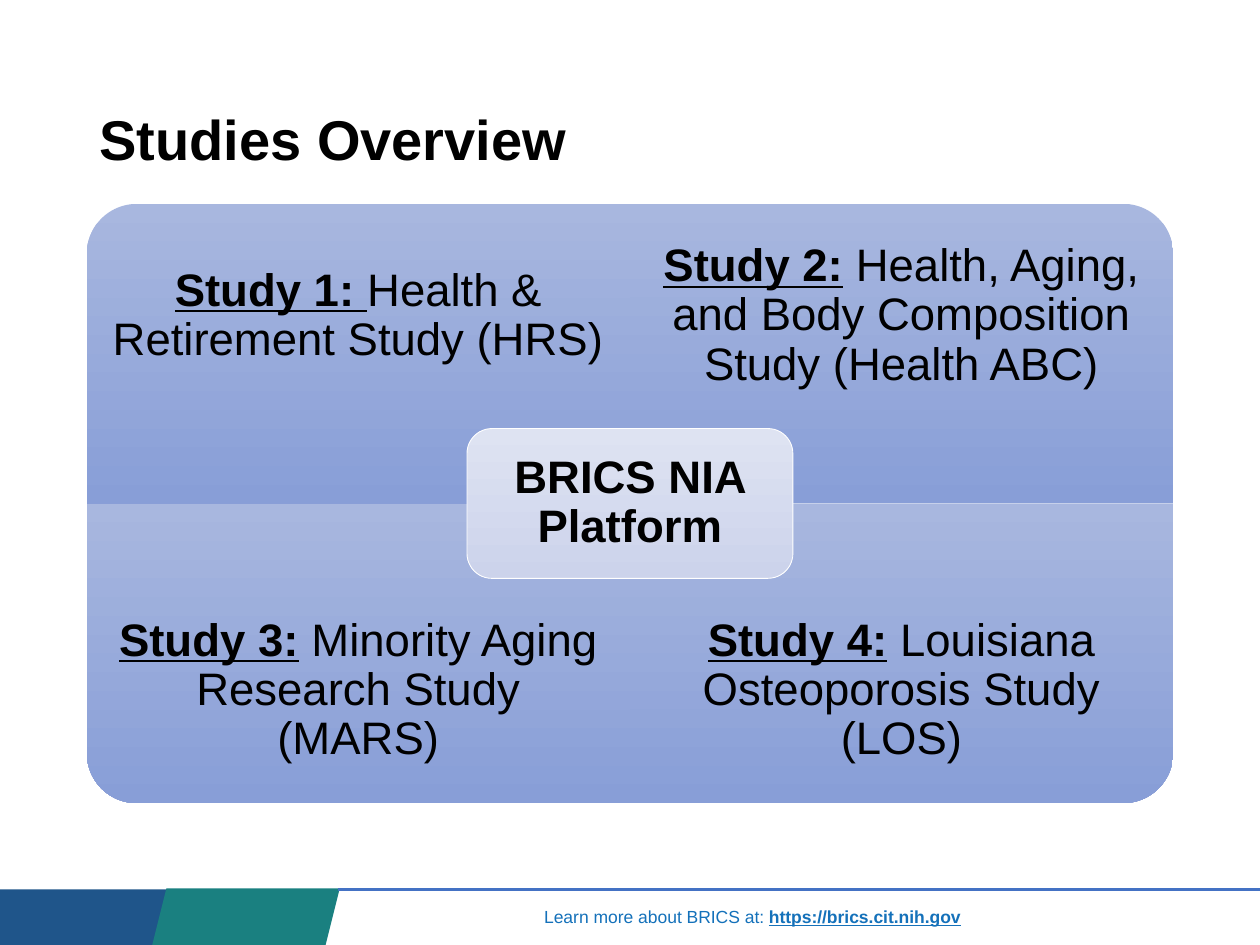
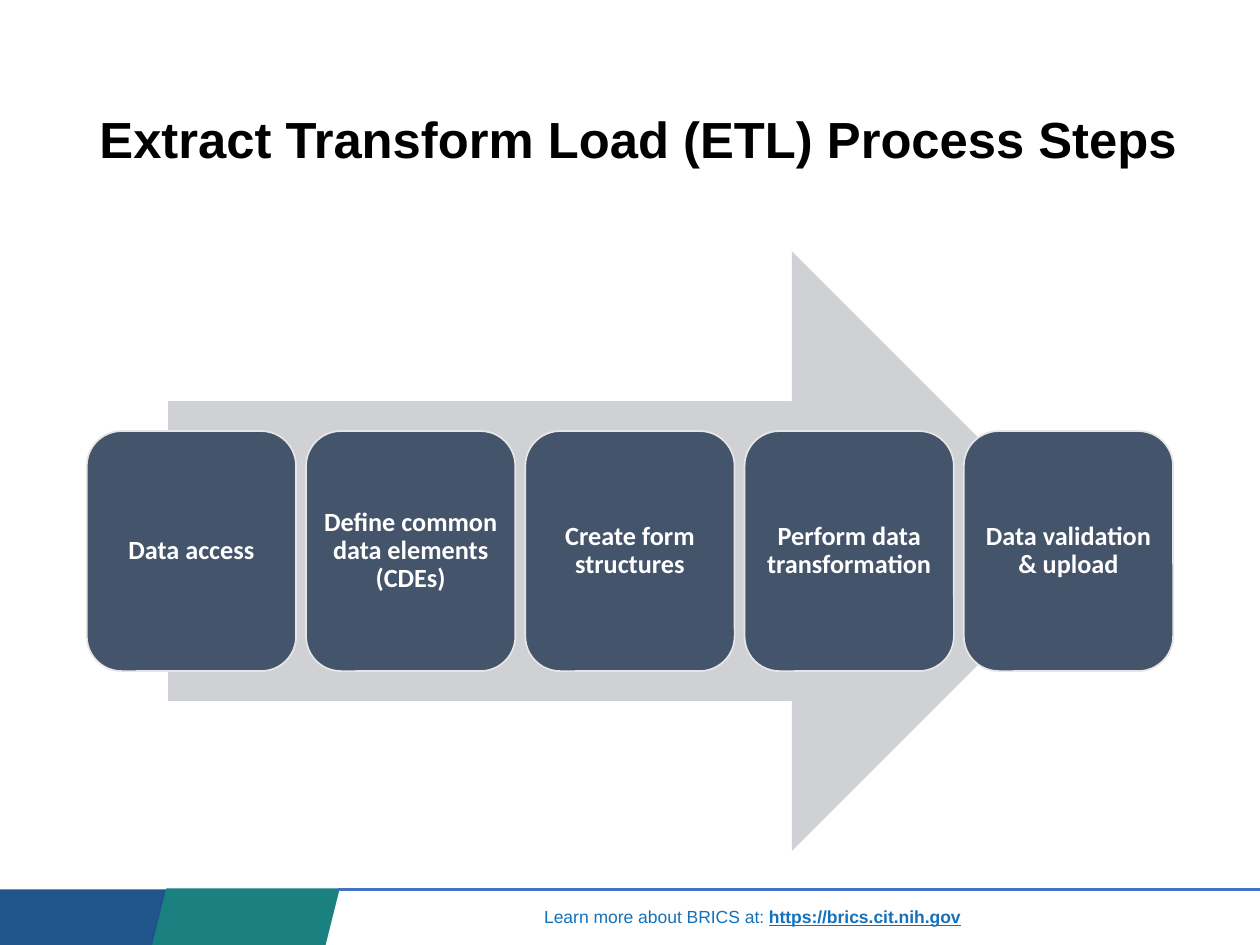
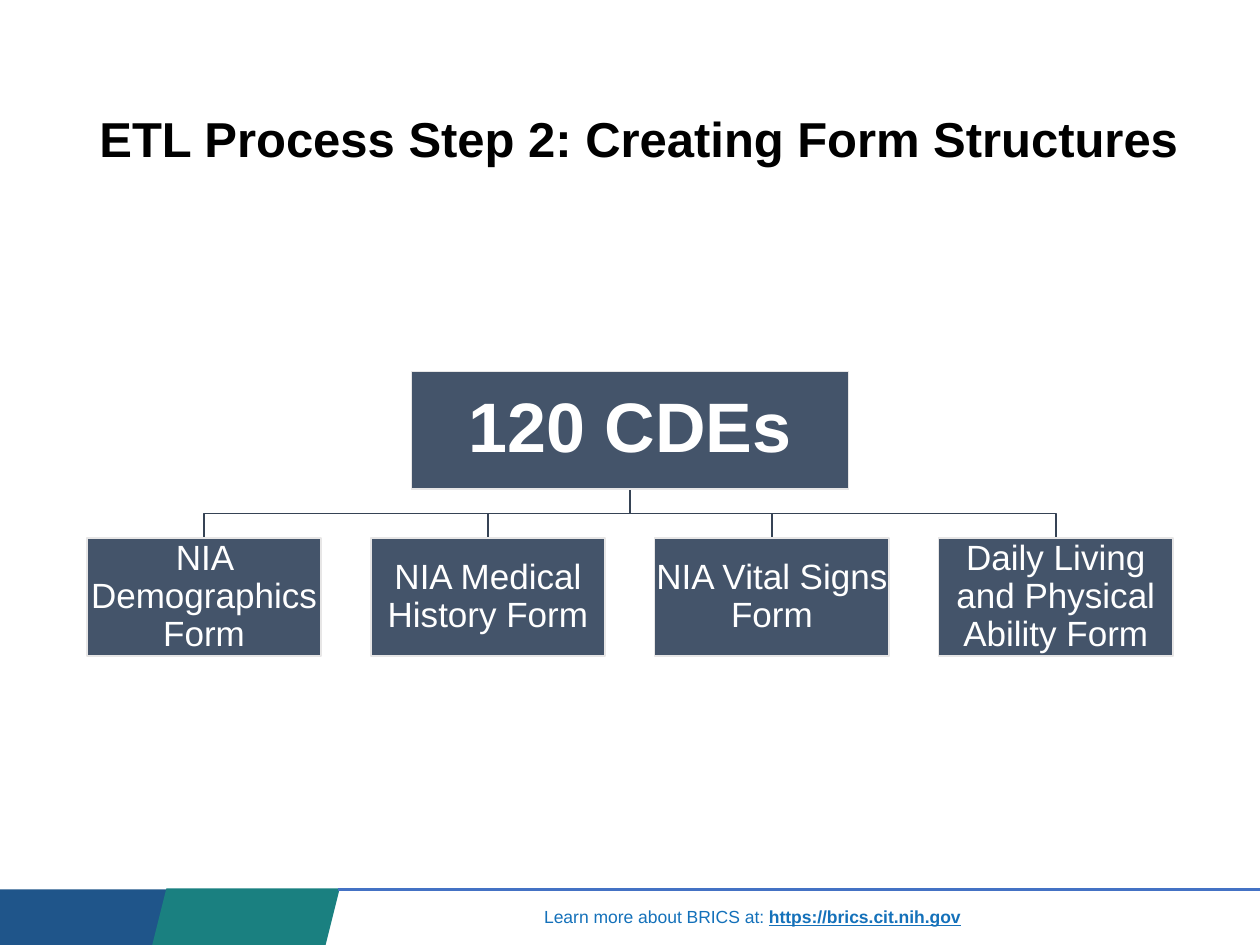
from dataclasses import dataclass
from lxml import etree
from pptx import Presentation
from pptx.dml.color import RGBColor
from pptx.enum.shapes import MSO_CONNECTOR, MSO_SHAPE
from pptx.enum.text import MSO_ANCHOR, MSO_AUTO_SIZE, PP_ALIGN
from pptx.oxml.ns import qn
from pptx.util import Cm, Pt

RECT, ROUND = MSO_SHAPE.RECTANGLE, MSO_SHAPE.ROUNDED_RECTANGLE
ROUND_ONE = MSO_SHAPE.ROUND_1_RECTANGLE
ARROW, SLANT = MSO_SHAPE.RIGHT_ARROW, MSO_SHAPE.PARALLELOGRAM
STRAIGHT = MSO_CONNECTOR.STRAIGHT
LEFT, CENTER = PP_ALIGN.LEFT, PP_ALIGN.CENTER
TOP, MIDDLE = MSO_ANCHOR.TOP, MSO_ANCHOR.MIDDLE
NO_FIT = MSO_AUTO_SIZE.NONE


@dataclass(frozen=True)
class Theme:
    navy: str = "1F558A"
    teal: str = "1A8080"
    rule: str = "4472C4"
    link: str = "1471BA"
    slate: str = "44546A"
    branch: str = "364355"
    edge: str = "E7E6E6"
    arrow: str = "CFD1D4"
    black: str = "000000"
    white: str = "FFFFFF"
    quadrant: tuple = ("A8B7DF", "889ED7")
    hub: tuple = ("DEE3F2", "CCD3EB")
    font: str = "Arial"
    step_font: str = "Calibri"
    footer_size: int = 10
    step_size: int = 15
    form_size: int = 20
    study_size: int = 26
    root_size: int = 40


T = Theme()

# Content
FOOTER = ("Learn more about BRICS at: ", "https://brics.cit.nih.gov")
STUDIES_TITLE = ("Studies Overview", 32, 21.9)
STEPS_TITLE = ("Extract Transform Load (ETL) Process Steps", 29, 22.99)
FORMS_TITLE = ("ETL Process Step 2: Creating Form Structures", 28, 22.56)

# Label, description, rotation that turns the round corner outwards
STUDIES = [
    ("Study 1: ", "Health & Retirement Study (HRS)", 270),
    ("Study 2:", " Health, Aging, and Body Composition Study (Health ABC)", 0),
    ("Study 3:", " Minority Aging Research Study (MARS)", 180),
    ("Study 4:", " Louisiana Osteoporosis Study (LOS)", 90),
]
HUB = "BRICS NIA Platform"
STEPS = ["Data access", "Define common data elements (CDEs)", "Create form structures",
         "Perform data transformation", "Data validation & upload"]
ROOT = "120 CDEs"
FORMS = ["NIA Demographics Form", "NIA Medical History Form",
         "NIA Vital Signs Form", "Daily Living and Physical Ability Form"]

# Shared frame, in centimetres
WIDTH, HEIGHT = 25.4, 19.05
MARGIN = 1.75
SPAN = WIDTH - 2 * MARGIN
MID_X = WIDTH / 2


# Helpers
def rgb(value):
    return RGBColor.from_string(value)


def box(*lengths):
    return [Cm(n) for n in lengths]


def write(sp, runs, align=CENTER, anchor=MIDDLE, inset=None, wrap=True, spacing=0.9):
    """Fill a shape with one paragraph of (text, font values) runs."""
    tf = sp.text_frame
    tf.auto_size, tf.word_wrap, tf.vertical_anchor = NO_FIT, wrap, anchor
    if inset is not None:
        for side in ("left", "top", "right", "bottom"):
            setattr(tf, f"margin_{side}", Cm(inset))
    p = tf.paragraphs[0]
    p.alignment, p.line_spacing = align, spacing
    for text, values in runs:
        r = p.add_run()
        r.text = text
        for name, value in values.items():
            if name == "color":
                r.font.color.rgb = rgb(value)
            else:
                setattr(r.font, name, value)


def style(size, color, font=T.font, **extra):
    return dict(size=Pt(size), color=color, name=font, **extra)


def add_box(slide, kind, place, fill, line=None, weight=1):
    """Add a preset shape; a pair of colours gives a top-down gradient."""
    sp = slide.shapes.add_shape(kind, *box(*place))
    sp.shadow.inherit = False
    if isinstance(fill, tuple):
        sp.fill.gradient()
        sp.fill.gradient_angle = 270
        for stop, color in zip(sp.fill.gradient_stops, fill):
            stop.color.rgb = rgb(color)
        sp.element.spPr.find(qn("a:gradFill")).set("rotWithShape", "0")
    else:
        sp.fill.solid()
        sp.fill.fore_color.rgb = rgb(fill)
    if line:
        sp.line.color.rgb = rgb(line)
        sp.line.width = Pt(weight)
    else:
        sp.line.fill.background()
    return sp


def spread(count, width):
    """Left edges of equal boxes that fill the span between the margins."""
    pitch = (SPAN - width) / (count - 1)
    return [MARGIN + i * pitch for i in range(count)]


def add_slide(prs, layout, title):
    text, size, width = title
    slide = prs.slides.add_slide(layout)
    sp = slide.shapes.title
    sp.left, sp.top, sp.width, sp.height = box(MARGIN, 1.02, width, 3.68)
    write(sp, [(text, style(size, T.black, bold=True))], align=LEFT)
    return slide


def add_footer(slide, layout):
    """Draw the footer band and move it to the layout that all slides use."""
    band = add_box(slide, RECT, (0, 17.93, 3.48, 1.12), T.navy)
    note = slide.shapes.add_textbox(*box(10.72, 18.14, 8.99, 0.69))
    plain = style(T.footer_size, T.link)
    write(note, [(FOOTER[0], plain), (FOOTER[1], dict(plain, bold=True, underline=True))],
          align=LEFT, anchor=TOP, wrap=False, spacing=1.0)
    slant = add_box(slide, SLANT, (3.07, 17.91, 3.78, 1.14), T.teal)
    rule = slide.shapes.add_connector(STRAIGHT, *box(6.81, 17.93, WIDTH, 17.93))
    rule.line.color.rgb = rgb(T.rule)
    rule.line.width = Pt(2)
    etree.SubElement(rule.element.spPr, qn("a:effectLst"))
    for sp in (band, note, slant, rule):
        layout.shapes.element.append(sp.element)


# Slide 1: four quadrants around a hub
def draw_studies(slide):
    top, w, h = 4.11, SPAN / 2, 6.04
    text_h = 0.75 * h
    mid_y = top + h
    plain = style(T.study_size, T.black)
    for i, (label, name, turn) in enumerate(STUDIES):
        row, col = divmod(i, 2)
        x, y = MARGIN + col * w, top + row * h
        sw, sh = (h, w) if turn in (90, 270) else (w, h)
        sp = add_box(slide, ROUND_ONE, (x + (w - sw) / 2, y + (h - sh) / 2, sw, sh), T.quadrant)
        sp.rotation = turn
        tb = slide.shapes.add_textbox(*box(x, y + row * (h - text_h), w, text_h))
        write(tb, [(label, dict(plain, bold=True, underline=True)), (name, plain)], inset=0.51)
    hub_w, hub_h = 0.6 * w, h / 2
    hub = add_box(slide, ROUND, (MID_X - hub_w / 2, mid_y - hub_h / 2, hub_w, hub_h),
                  T.hub, T.white, 0.5)
    write(hub, [(HUB, dict(plain, bold=True))], inset=0.28)


# Slide 2: steps along an arrow
def draw_steps(slide):
    top, w, h = 8.69, 4.22, 4.84
    arrow_w, arrow_h = 18.62, 12.09
    add_box(slide, ARROW, (MID_X - arrow_w / 2, top + (h - arrow_h) / 2, arrow_w, arrow_h), T.arrow)
    for x, step in zip(spread(len(STEPS), w), STEPS):
        sp = add_box(slide, ROUND, (x, top, w, h), T.slate, T.edge)
        write(sp, [(step, style(T.step_size, T.white, T.step_font, bold=True))], inset=0.15)


# Slide 3: one root and its forms
def draw_forms(slide):
    root_w, w, h = 8.81, 4.73, 2.37
    root_y, form_y = 7.49, 10.85
    root_end = root_y + h
    bend = (root_end + form_y) / 2
    lefts = spread(len(FORMS), w)
    for x in lefts:
        end = x + w / 2
        path_points = [(MID_X, bend), (end, bend), (end, form_y)]
        fb = slide.shapes.build_freeform(Cm(MID_X), Cm(root_end))
        fb.add_line_segments([box(*pt) for pt in path_points], close=False)
        sp = fb.convert_to_shape()
        sp.shadow.inherit = False
        sp.fill.background()
        sp.line.color.rgb = rgb(T.branch)
        sp.line.width = Pt(1)
    root = add_box(slide, RECT, (MID_X - root_w / 2, root_y, root_w, h), T.slate, T.edge)
    write(root, [(ROOT, style(T.root_size, T.white, bold=True))], inset=0.08)
    for x, form in zip(lefts, FORMS):
        sp = add_box(slide, RECT, (x, form_y, w, h), T.slate, T.edge)
        write(sp, [(form, style(T.form_size, T.white))], inset=0.03)


def main():
    prs = Presentation()
    prs.slide_width, prs.slide_height = box(WIDTH, HEIGHT)
    layout = prs.slide_layouts.get_by_name("Title Only")
    pages = [(STUDIES_TITLE, draw_studies), (STEPS_TITLE, draw_steps), (FORMS_TITLE, draw_forms)]
    for i, (title, draw) in enumerate(pages):
        slide = add_slide(prs, layout, title)
        if i == 0:
            add_footer(slide, layout)
        draw(slide)
    prs.save("out.pptx")


if __name__ == "__main__":
    main()
